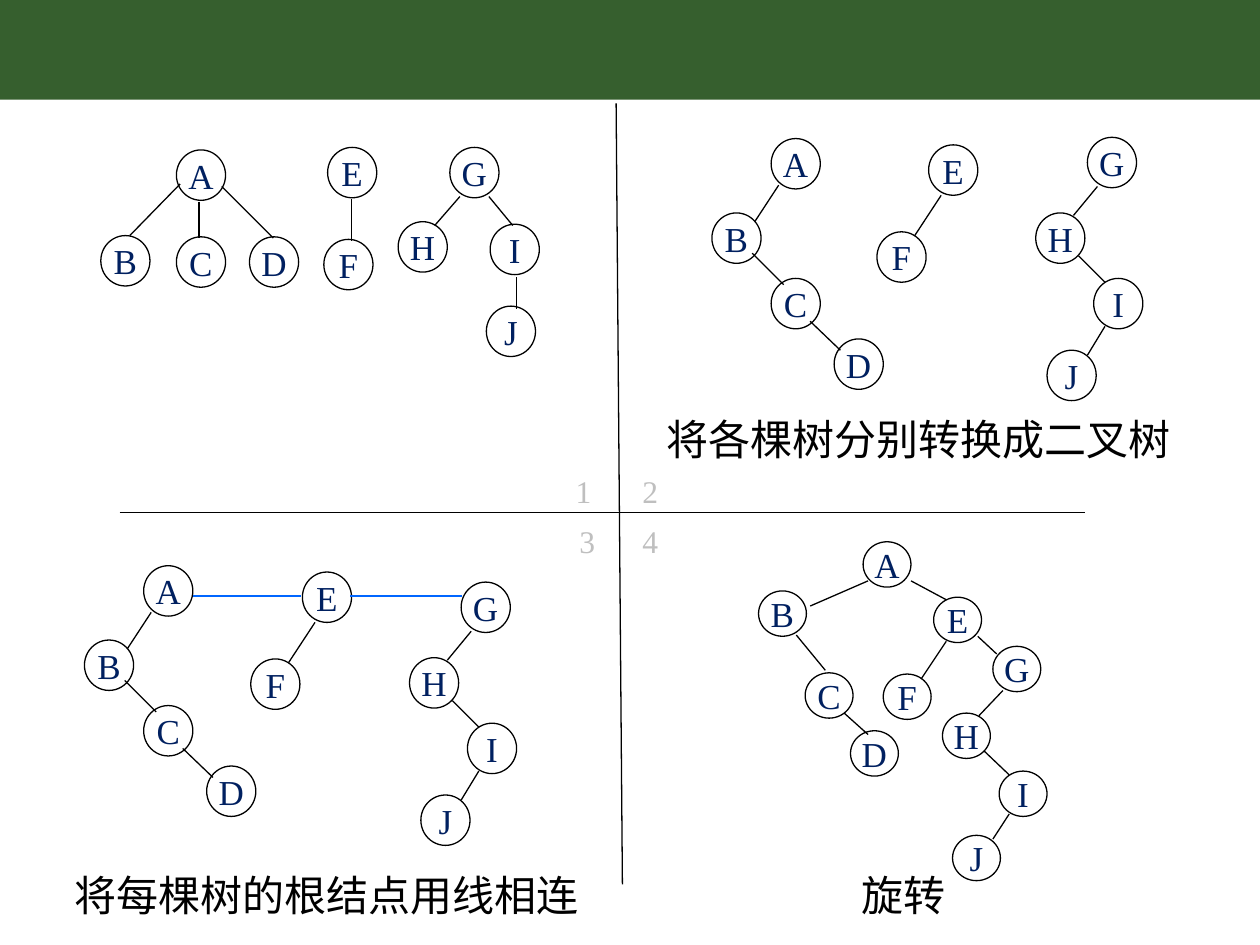
from lxml import etree
from pptx import Presentation
from pptx.dml.color import RGBColor
from pptx.enum.shapes import MSO_CONNECTOR, MSO_SHAPE
from pptx.enum.text import MSO_ANCHOR, MSO_AUTO_SIZE, PP_ALIGN
from pptx.oxml.ns import qn
from pptx.util import Pt

RECT = MSO_SHAPE.RECTANGLE
OVAL = MSO_SHAPE.OVAL
LINE = MSO_CONNECTOR.STRAIGHT
MID = MSO_ANCHOR.MIDDLE
MID_ROW = PP_ALIGN.CENTER
GROW = MSO_AUTO_SIZE.SHAPE_TO_FIT_TEXT

SCALE = 9144
FONT = "Times New Roman"
BLACK, NAVY, BLUE, GREY, GREEN = "000000", "002060", "0066FF", "BFBFBF", "365F2E"
DISC = (39, 40)
SMALL = (38, 36)

FAN = (
    {"A": (60, 0), "B": (0, 68), "C": (60, 69), "D": (118, 69)},
    [(78, 41, 78, 70), (63, 27, 23, 68), (96, 29, 137, 70)],
)
PAIR = ({"E": (3, 0), "F": (0, 73)}, [(22, 41, 22, 74)])
FORK = (
    {"G": (41, 0), "H": (0, 59), "I": (73, 61), "J": (70, 126)},
    [(49, 39, 29, 62), (72, 39, 91, 62), (94, 103, 94, 128)],
)
CHAIN = (
    {"A": (47, 0), "B": (0, 59), "C": (47, 111), "D": (97, 159)},
    [(53, 37, 34, 66), (32, 91, 57, 116), (78, 145, 102, 168)],
)
SLOPE = ({"E": (41, 0), "F": (0, 69)}, [(51, 40, 30, 72)])
BEND = (
    {"G": (41, 0), "H": (0, 60), "I": (46, 112), "J": (9, 169)},
    [(49, 39, 30, 62), (34, 94, 55, 115), (55, 150, 41, 173)],
)
FULL = (
    {"A": (83, 0), "B": (0, 39), "C": (37, 104), "D": (73, 150), "E": (139, 44),
     "F": (99, 105), "G": (186, 83), "H": (146, 136), "I": (191, 182), "J": (154, 233)},
    [(87, 31, 41, 51), (30, 74, 53, 102), (68, 136, 87, 153), (121, 31, 149, 46),
     (149, 79, 129, 109), (174, 75, 189, 89), (194, 118, 175, 138),
     (179, 166, 199, 185), (199, 216, 186, 236)],
)


def px(*nums):
    return [num * SCALE for num in nums]


def hue(code):
    return RGBColor.from_string(code)


def write(para, text, size, color):
    run = para.add_run()
    run.text = text
    run.font.size = Pt(size)
    run.font.name = FONT
    run.font.color.rgb = hue(color)


def rule(shapes, ends, color=BLACK):
    line = shapes.add_connector(LINE, *px(*ends))
    line.line.color.rgb = hue(color)
    line.line.width = Pt(0.75)
    etree.SubElement(line._element.spPr, qn("a:effectLst"))


def node(shapes, left, top, size, name):
    disc = shapes.add_shape(OVAL, *px(left, top, *size))
    disc.shadow.inherit = False
    disc.fill.background()
    disc.line.color.rgb = hue(BLACK)
    disc.line.width = Pt(0.75)
    frame = disc.text_frame
    frame.word_wrap = False
    frame.vertical_anchor = MID
    para = frame.paragraphs[0]
    para.alignment = MID_ROW
    write(para, name, 20, NAVY)


def tree(shapes, left, top, plan, size=DISC):
    nodes, links = plan
    for name, (x, y) in nodes.items():
        node(shapes, left + x, top + y, size, name)
    for x1, y1, x2, y2 in links:
        rule(shapes, (left + x1, top + y1, left + x2, top + y2))


def grove(slide, left, top, plans, size=DISC, joins=()):
    shapes = slide.shapes.add_group_shape().shapes
    for x, y, plan in plans:
        tree(shapes, left + x, top + y, plan, size)
    for x1, y1, x2, y2 in joins:
        rule(shapes, (left + x1, top + y1, left + x2, top + y2), BLUE)


def label(slide, box, text, size, color, inset=10, space=1.0):
    frame = slide.shapes.add_textbox(*px(*box)).text_frame
    frame.word_wrap = True
    frame.auto_size = GROW
    frame.margin_left = px(inset)[0]
    para = frame.paragraphs[0]
    para.line_spacing = space
    write(para, text, size, color)


def band(slide, box):
    bar = slide.shapes.add_shape(RECT, *px(*box))
    bar.shadow.inherit = False
    bar.fill.solid()
    bar.fill.fore_color.rgb = hue(GREEN)
    bar.line.fill.background()


def cross(slide):
    rule(slide.shapes, (95, 407, 861, 407))
    rule(slide.shapes, (489, 82, 494, 702))
    spots = [(447, 370), (500, 370), (450, 409), (500, 409)]
    for num, spot in enumerate(spots, 1):
        label(slide, (*spot, 35, 40), str(num), 18, GREY)


def main():
    deck = Presentation()
    deck.slide_width, deck.slide_height = px(1000, 750)
    slide = deck.slides.add_slide(deck.slide_layouts[6])
    band(slide, (0, 0, 1000, 79))
    grove(slide, 80, 117, [(0, 2, FAN), (177, 0, PAIR), (236, 0, FORK)])
    grove(slide, 565, 109, [(0, 1, CHAIN), (131, 6, SLOPE), (257, 0, BEND)])
    grove(slide, 67, 449, [(0, 0, CHAIN), (132, 5, SLOPE), (258, 13, BEND)],
          joins=[(86, 24, 172, 24), (211, 24, 300, 24)])
    grove(slide, 602, 430, [(0, 0, FULL)], SMALL)
    label(slide, (39, 690, 437, 46), "将每棵树的根结点用线相连", 24, BLACK, 20, 0.9)
    label(slide, (519, 328, 500, 46), "将各棵树分别转换成二叉树", 24, BLACK, 10, 0.9)
    label(slide, (664, 690, 147, 46), "旋转", 24, BLACK, 20, 0.9)
    cross(slide)
    deck.save("out.pptx")


if __name__ == "__main__":
    main()
